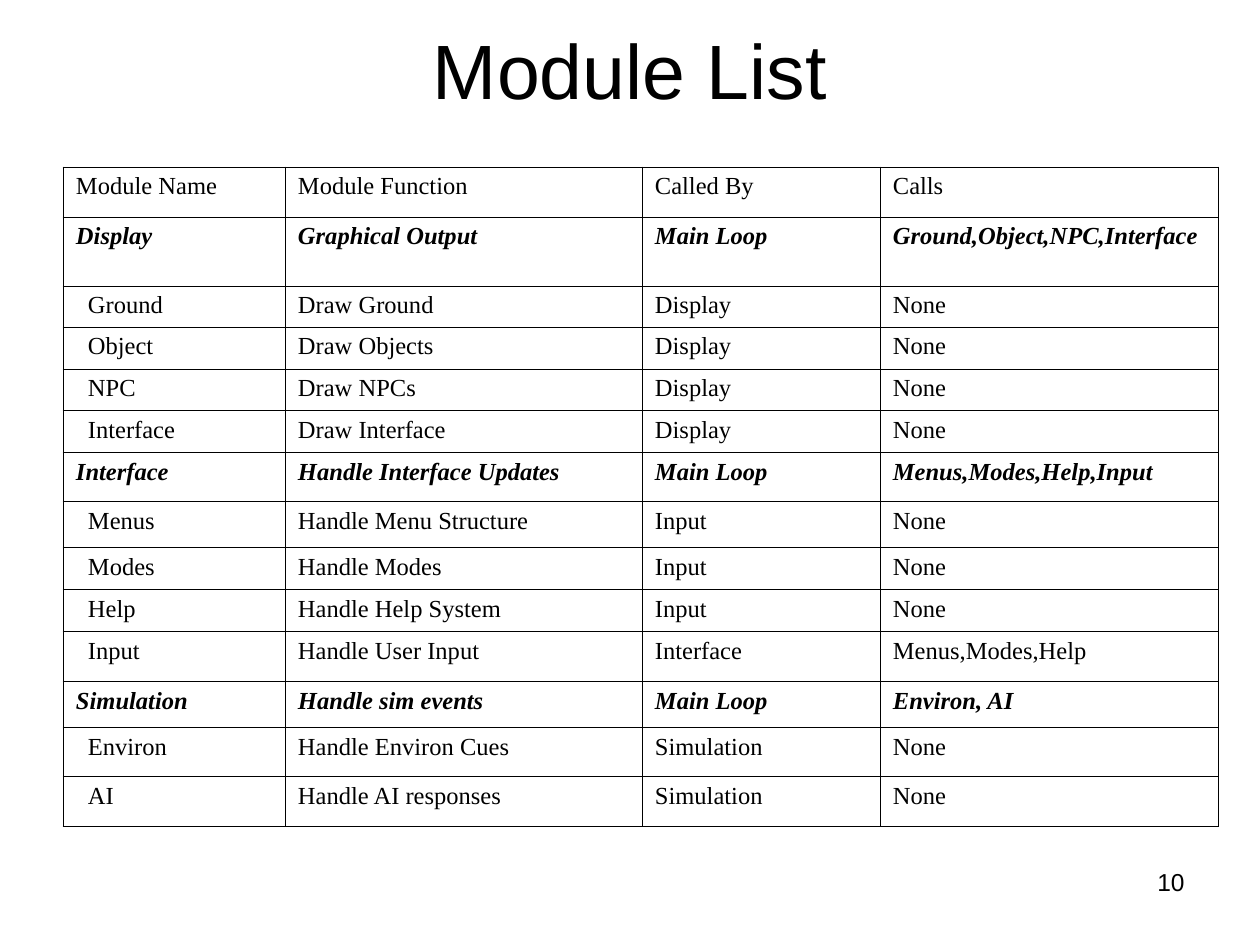
"""Build the Module List slide: a title, a bordered table of modules and a page number."""
from dataclasses import dataclass
from enum import Enum
from typing import NamedTuple

from lxml.etree import SubElement
from pptx import Presentation
from pptx.dml.color import RGBColor
from pptx.enum.text import MSO_ANCHOR as Anchor, PP_ALIGN as Align
from pptx.oxml.ns import qn
from pptx.util import Emu, Pt

SCALE = 914400 / 126


@dataclass(frozen=True)
class Theme:
    ink: str = "000000"
    title_font: str = "Arial"
    table_font: str = "Times New Roman"
    title_size: int = 44
    text_size: int = 14
    border_width: float = 0.45
    inset_x: int = 13
    inset_y: int = 6
    indent: int = 12


class Kind(Enum):
    HEADER = "header"
    GROUP = "group"
    PART = "part"


class Module(NamedTuple):
    kind: Kind
    height: int
    name: str
    function: str
    called_by: str
    calls: str


class Area(NamedTuple):
    left: int
    top: int
    width: int
    height: int


THEME = Theme()
TITLE_AREA = Area(63, -10, 1134, 157)
NUMBER_AREA = Area(903, 861, 294, 65)
TABLE_LEFT, TABLE_TOP = 63, 167
COLUMN_WIDTHS = (222, 357, 238, 338)
MODULES = (
    Module(Kind.HEADER, 50, "Module Name", "Module Function", "Called By", "Calls"),
    Module(Kind.GROUP, 69, "Display", "Graphical Output", "Main Loop", "Ground,Object,NPC,Interface"),
    Module(Kind.PART, 41, "Ground", "Draw Ground", "Display", "None"),
    Module(Kind.PART, 42, "Object", "Draw Objects", "Display", "None"),
    Module(Kind.PART, 42, "NPC", "Draw NPCs", "Display", "None"),
    Module(Kind.PART, 42, "Interface", "Draw Interface", "Display", "None"),
    Module(Kind.GROUP, 49, "Interface", "Handle Interface Updates", "Main Loop", "Menus,Modes,Help,Input"),
    Module(Kind.PART, 46, "Menus", "Handle Menu Structure", "Input", "None"),
    Module(Kind.PART, 42, "Modes", "Handle Modes", "Input", "None"),
    Module(Kind.PART, 42, "Help", "Handle Help System", "Input", "None"),
    Module(Kind.PART, 50, "Input", "Handle User Input", "Interface", "Menus,Modes,Help"),
    Module(Kind.GROUP, 46, "Simulation", "Handle sim events", "Main Loop", "Environ, AI"),
    Module(Kind.PART, 49, "Environ", "Handle Environ Cues", "Simulation", "None"),
    Module(Kind.PART, 50, "AI", "Handle AI responses", "Simulation", "None"),
)


def px(length: int) -> Emu:
    """Turn px into EMU."""
    return Emu(round(length * SCALE))


def set_all(target, values: dict) -> None:
    """Set every named attribute on the target."""
    for name, value in values.items():
        setattr(target, name, value)


def place(shape, area: Area) -> None:
    """Move and size a shape."""
    set_all(shape, {name: px(value) for name, value in area._asdict().items()})


def write(frame, text: str, align: Align, **font) -> None:
    """Fill a text frame with one formatted paragraph."""
    para = frame.paragraphs[0]
    para.alignment = align
    span = para.add_run()
    span.text = text
    set_all(span.font, font)
    span.font.color.rgb = RGBColor.from_string(THEME.ink)


def draw_borders(cell) -> None:
    """Give a cell a thin line on all four sides."""
    properties = cell._tc.get_or_add_tcPr()
    for side in ("lnL", "lnR", "lnT", "lnB"):
        line = SubElement(properties, qn(f"a:{side}"), w=str(Pt(THEME.border_width)))
        SubElement(SubElement(line, qn("a:solidFill")), qn("a:srgbClr"), val=THEME.ink)


def fill_cell(cell, text: str, kind: Kind, indent: int) -> None:
    """Write and format one table cell."""
    set_all(cell, {
        "margin_left": px(THEME.inset_x + indent),
        "margin_right": px(THEME.inset_x),
        "margin_top": px(THEME.inset_y),
        "margin_bottom": px(THEME.inset_y),
        "vertical_anchor": Anchor.TOP,
    })
    draw_borders(cell)
    cell.fill.background()
    is_group = kind is Kind.GROUP
    write(cell.text_frame, text, Align.JUSTIFY if kind is Kind.HEADER else Align.LEFT,
          name=THEME.table_font, size=Pt(THEME.text_size), bold=is_group, italic=is_group)


def draw_modules(page) -> None:
    """Draw the module table."""
    area = Area(TABLE_LEFT, TABLE_TOP, sum(COLUMN_WIDTHS), sum(module.height for module in MODULES))
    table = page.shapes.add_table(len(MODULES), len(COLUMN_WIDTHS), *map(px, area)).table
    set_all(table, {"first_row": False, "horz_banding": False})
    for column, width in zip(table.columns, COLUMN_WIDTHS):
        column.width = px(width)
    for row, module in zip(table.rows, MODULES):
        row.height = px(module.height)
        for index, (cell, text) in enumerate(zip(row.cells, module[2:])):
            indent = THEME.indent if index == 0 and module.kind is Kind.PART else 0
            fill_cell(cell, text, module.kind, indent)


def draw_title(page, text: str) -> None:
    """Move and format the title placeholder."""
    title = page.shapes.title
    place(title, TITLE_AREA)
    set_all(title.text_frame, {"vertical_anchor": Anchor.MIDDLE, "word_wrap": True})
    write(title.text_frame, text, Align.CENTER, name=THEME.title_font, size=Pt(THEME.title_size))


def draw_page_number(page, text: str) -> None:
    """Write the page number at the bottom right."""
    box = page.shapes.add_textbox(*map(px, NUMBER_AREA))
    box.text_frame.word_wrap = True
    write(box.text_frame, text, Align.RIGHT, name=THEME.title_font, size=Pt(THEME.text_size))


def main() -> None:
    """Build and save the deck."""
    deck = Presentation()
    set_all(deck, {"slide_width": px(1260), "slide_height": px(945)})
    page = deck.slides.add_slide(deck.slide_layouts.get_by_name("Title Only"))
    draw_title(page, "Module List")
    draw_modules(page)
    draw_page_number(page, "10")
    deck.save("out.pptx")


if __name__ == "__main__":
    main()
